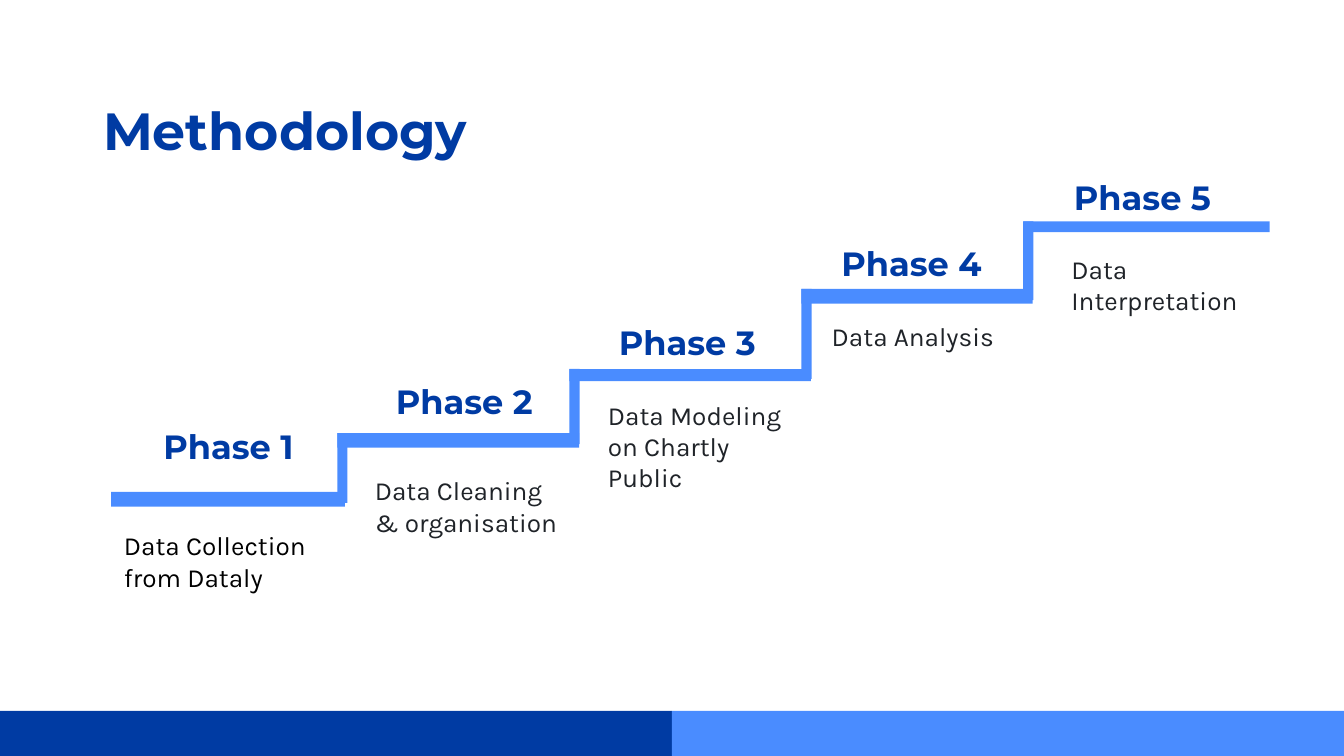
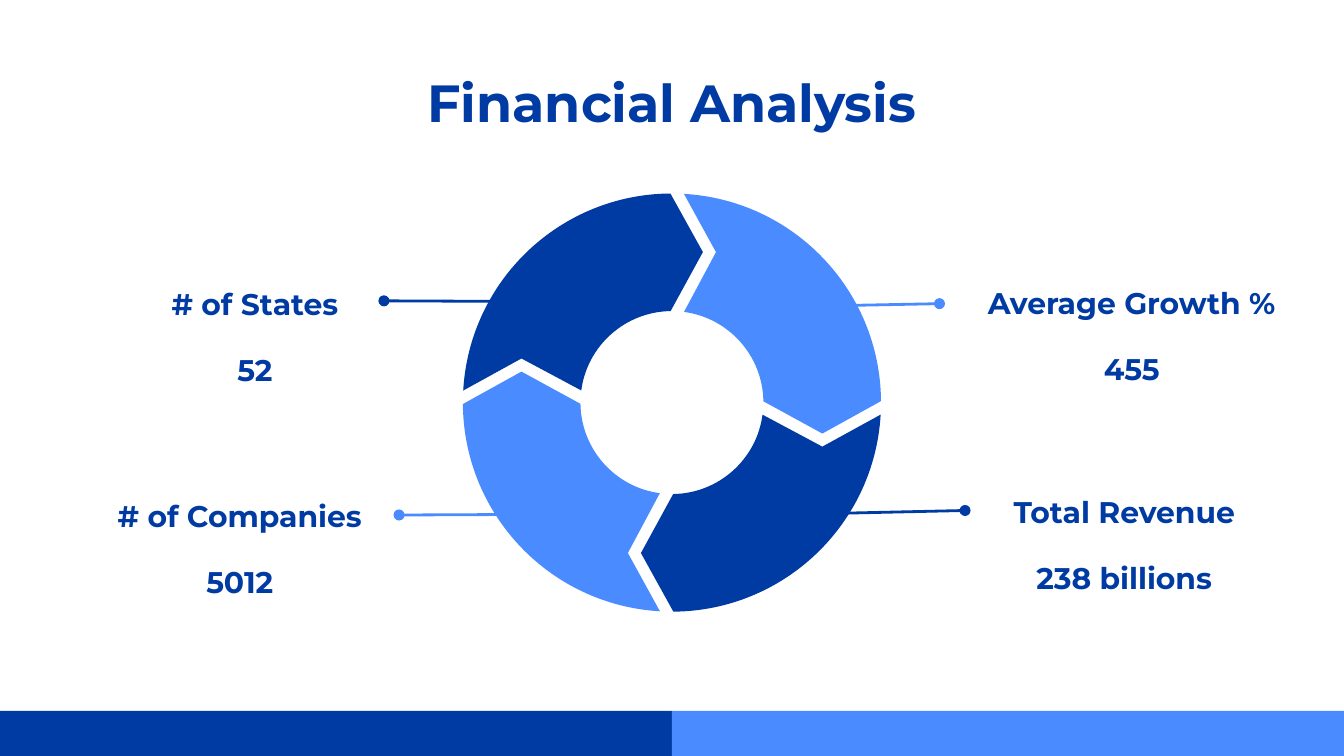
import math

import pptx
import pptx.dml.color
import pptx.enum.shapes
import pptx.enum.text
import pptx.util
from lxml import etree

Pt = pptx.util.Pt
RECT = pptx.enum.shapes.MSO_SHAPE.RECTANGLE
STRAIGHT = pptx.enum.shapes.MSO_CONNECTOR.STRAIGHT
LEFT = pptx.enum.text.PP_ALIGN.LEFT
CENTER = pptx.enum.text.PP_ALIGN.CENTER
A = "{http://schemas.openxmlformats.org/drawingml/2006/main}"

NAVY, BLUE, INK, BLACK = "003BA3", "4A8CFF", "1F2328", "000000"
HEAD, BODY = "Montserrat", "Karla"
WIDTH, HEIGHT = 720, 405
BAND_TOP = 380.8
LABEL_H = 32.4
RISER_W, RISER_DROP = 5.5, 2
BODY_INDENT = 10.8

# Each phase: name and its box, tread (left, top, width, height), description, its box and colour
PHASES = [
    ("Phase 1", (77.8, 221, 89.3, LABEL_H), (59.5, 263.5, 125.3, 7.9),
     "Data Collection from Dataly", (48.5, 276.5, 150.5, 52.6), BLACK),
    ("Phase 2", (187.9, 197, 121.7, LABEL_H), (180.7, 232, 129.6, 7.9),
     "Data Cleaning & organisation", (182.9, 247, 126, 46.8), INK),
    ("Phase 3", (307.4, 165.3, 121.7, LABEL_H), (305, 197.7, 129.5, 6.5),
     "Data Modeling on Chartly Public", (307.8, 206.6, 122.4, LABEL_H), INK),
    ("Phase 4", (427.4, 123.1, 121.7, LABEL_H), (429.3, 154.8, 123.9, 7.9),
     "Data Analysis", (427.7, 164.2, 118, LABEL_H), INK),
    ("Phase 5", (551.2, 87.8, 121.7, LABEL_H), (548.2, 118.6, 132, 5.8),
     "Data Interpretation", (556.1, 128.4, 118, LABEL_H), INK),
]

# Clockwise from the top left: label, value, label corner, leader start and end, colour
METRICS = [
    ("# of States", "52", (51.3, 146), (276.5, 161.5), (205.7, 161.2), NAVY),
    ("Average Growth %", "455", (521, 145.4), (436.3, 164), (503.3, 162.7), BLUE),
    ("Total Revenue", "238 billions", (517, 257.4), (449.3, 275), (517, 273.5), NAVY),
    ("# of Companies", "5012", (43.2, 259.4), (284.4, 275.6), (213.8, 275.9), BLUE),
]
METRIC_W = 170.6

RING_CENTER = (360, 215.7)
OUTER_R, INNER_R = 112, 49
OUTER_ARC = (90.4, 176.7)    # degrees, anticlockwise from the right
INNER_ARC = (172.4, 90.8)
NOTCH, TIP = (-80.6, -23.6), (16.6, -80.6)


def rgb(color):
    return pptx.dml.color.RGBColor.from_string(color)


def paint(sp, color):
    sp.shadow.inherit = False
    sp.fill.solid()
    sp.fill.fore_color.rgb = rgb(color)
    sp.line.fill.background()


def add_bar(s, box, color):
    paint(s.shapes.add_shape(RECT, *map(Pt, box)), color)


def add_text(s, box, lines, size, color=NAVY, font=HEAD, align=CENTER, after=0, indent=0):
    tf = s.shapes.add_textbox(*map(Pt, box)).text_frame
    tf.word_wrap = True
    tf.margin_left = tf.margin_right = tf.margin_top = tf.margin_bottom = Pt(7.2)
    for i, line in enumerate(lines):
        p = tf.add_paragraph() if i else tf.paragraphs[0]
        p.alignment = align
        p.space_after = Pt(after)
        if indent:
            pPr = p._p.get_or_add_pPr()
            pPr.set("marL", str(Pt(indent)))
            pPr.set("indent", "0")
        r = p.add_run()
        r.text = line
        r.font.size = Pt(size)
        r.font.name = font
        r.font.bold = font == HEAD
        r.font.color.rgb = rgb(color)


def add_slide(prs, title, box, align):
    """Add a slide with the shared title style and two-tone footer band."""
    s = prs.slides.add_slide(prs.slide_layouts[6])
    for i, color in enumerate((NAVY, BLUE)):
        add_bar(s, (i * WIDTH / 2, BAND_TOP, WIDTH / 2, HEIGHT - BAND_TOP), color)
    add_text(s, box, [title], 28, align=align)
    return s


def add_leader(s, start, end, color):
    """Draw a line that ends in a dot."""
    line = s.shapes.add_connector(STRAIGHT, *map(Pt, start + end))
    line.line.color.rgb = rgb(color)
    line.line.width = Pt(1.5)
    etree.SubElement(line.line._get_or_add_ln(), A + "tailEnd", type="oval")
    etree.SubElement(line._element.spPr, A + "effectLst")


def arc(radius, first, last):
    """Return start, two control points and end of one Bézier curve."""
    a, b = math.radians(first), math.radians(last)
    k = 4 / 3 * math.tan((b - a) / 4)
    unit = [(math.cos(a), math.sin(a)),
            (math.cos(a) - k * math.sin(a), math.sin(a) + k * math.cos(a)),
            (math.cos(b) + k * math.sin(b), math.sin(b) - k * math.cos(b)),
            (math.cos(b), math.sin(b))]
    return [(radius * x, -radius * y) for x, y in unit]


def bend(sp, starts):
    """Turn three straight segments, from each start on, into one curve."""
    segments = list(sp._element.iter(A + "lnTo"))
    for start in starts:
        curve = etree.Element(A + "cubicBezTo")
        segments[start].addprevious(curve)
        for segment in segments[start:start + 3]:
            curve.append(segment[0])
            segment.getparent().remove(segment)


def add_ring_arrow(s, quarter_turns, color):
    points = arc(OUTER_R, *OUTER_ARC) + [NOTCH] + arc(INNER_R, *INNER_ARC) + [TIP]
    for _ in range(quarter_turns):
        points = [(-y, x) for x, y in points]
    cx, cy = RING_CENTER
    points = [(Pt(cx + x), Pt(cy + y)) for x, y in points]
    outline = s.shapes.build_freeform(*points[0])
    outline.add_line_segments(points[1:], close=True)
    sp = outline.convert_to_shape()
    bend(sp, (0, 5))
    paint(sp, color)


def build_methodology(prs):
    s = add_slide(prs, "Methodology", (48.2, 45.4, 607, 48.2), LEFT)
    treads = [phase[2] for phase in PHASES]
    for tread in treads:
        add_bar(s, tread, BLUE)
    for (_, low, _, thick), (left, high, _, _) in zip(treads, treads[1:]):
        add_bar(s, (left, high, RISER_W, low + thick / 2 + RISER_DROP - high), BLUE)
    for name, name_box, _, text, text_box, color in PHASES:
        add_text(s, name_box, [name], 18, after=16)
        add_text(s, text_box, [text], 14, color, BODY, LEFT, indent=BODY_INDENT)


def build_financials(prs):
    s = add_slide(prs, "Financial Analysis", (56.4, 30.2, 607, 73.4), CENTER)
    for i, (label, value, corner, start, end, color) in enumerate(METRICS):
        add_ring_arrow(s, i, color)
        add_text(s, corner + (METRIC_W, LABEL_H), [label, value], 16, after=16)
        add_leader(s, start, end, color)


def main():
    prs = pptx.Presentation()
    prs.slide_width, prs.slide_height = Pt(WIDTH), Pt(HEIGHT)
    build_methodology(prs)
    build_financials(prs)
    prs.save("out.pptx")


if __name__ == "__main__":
    main()
